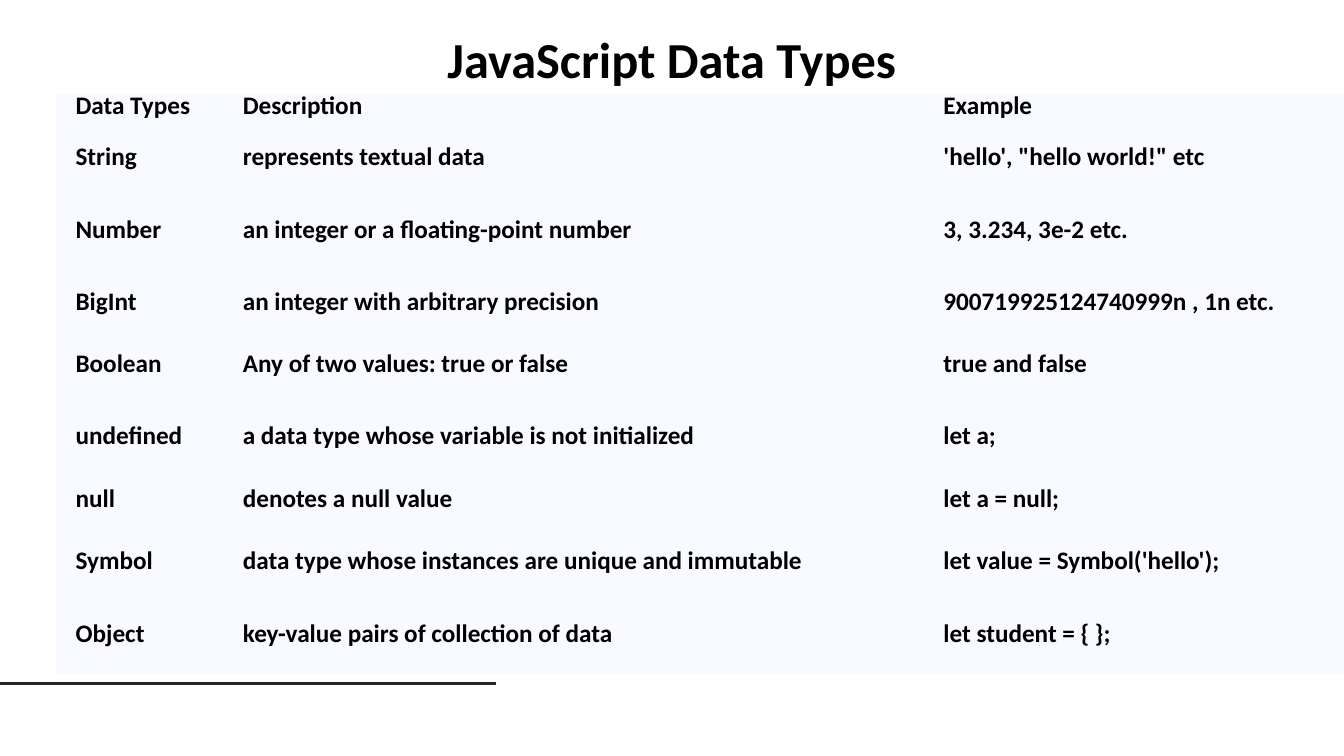
from pptx import Presentation
from pptx.util import Pt
from pptx.dml.color import RGBColor as RGB
from pptx.enum.shapes import MSO_CONNECTOR as LINE
from pptx.enum.text import MSO_ANCHOR as ANCHOR, MSO_AUTO_SIZE as FIT, PP_ALIGN as ALIGN
from pptx.oxml.ns import qn
from lxml import etree

HUES = {"text": "000000", "cell": "F8FAFF", "rule": "262626"}
NO_GRID = "{2D5ABB26-0587-4C30-8999-92F81FD0307C}"
COLS = [119.5, 500.4, 300.2]
LOW, MID, HIGH = 29.5, 44, 59.8
ROWS = [
    (LOW, "Data Types", "Description", "Example"),
    (MID, "String", "represents textual data", "'hello', \"hello world!\" etc"),
    (HIGH, "Number", "an integer or a floating-point number", "3, 3.234, 3e-2 etc."),
    (MID, "BigInt", "an integer with arbitrary precision", "900719925124740999n , 1n etc."),
    (MID, "Boolean", "Any of two values: true or false", "true and false"),
    (HIGH, "undefined", "a data type whose variable is not initialized", "let a;"),
    (LOW, "null", "denotes a null value", "let a = null;"),
    (HIGH, "Symbol", "data type whose instances are unique and immutable",
     "let value = Symbol('hello');"),
    (MID, "Object", "key-value pairs of collection of data", "let student = { };"),
]


def style(par, size):
    font = par.runs[0].font
    font.name, font.size, font.bold = "Calibri", Pt(size), True
    font.color.rgb = RGB.from_string(HUES["text"])


deck = Presentation()
deck.slide_width, deck.slide_height = Pt(960), Pt(540)
slide = deck.slides.add_slide(deck.slide_layouts[6])

# Rule at the foot
rule = slide.shapes.add_connector(LINE.STRAIGHT, Pt(0), Pt(488.2), Pt(354.2), Pt(488.2))
rule.line.color.rgb = RGB.from_string(HUES["rule"])
rule.line.width = Pt(2)
etree.SubElement(rule._element.spPr, qn("a:effectLst"))

# Title
title = slide.shapes.add_textbox(Pt(301.7), Pt(16.6), Pt(356.4), Pt(51))
frame = title.text_frame
frame.word_wrap = False
frame.auto_size = FIT.SHAPE_TO_FIT_TEXT
frame.text = "JavaScript Data Types"
frame.paragraphs[0].alignment = ALIGN.CENTER
style(frame.paragraphs[0], 36)

# Table without grid or banding
tall = sum(row[0] for row in ROWS)
table = slide.shapes.add_table(len(ROWS), len(COLS), Pt(40.3), Pt(67),
                               Pt(sum(COLS)), Pt(tall)).table
table.first_row = table.horz_banding = False
table._tbl.tblPr.find(qn("a:tableStyleId")).text = NO_GRID
for col, width in zip(table.columns, COLS):
    col.width = Pt(width)

# Cells
for row, (height, *words) in zip(table.rows, ROWS):
    row.height = Pt(height)
    for cell, word in zip(row.cells, words):
        cell.fill.solid()
        cell.fill.fore_color.rgb = RGB.from_string(HUES["cell"])
        cell.vertical_anchor = ANCHOR.MIDDLE
        cell.margin_left = cell.margin_right = Pt(13.7)
        cell.margin_top = cell.margin_bottom = Pt(7.2)
        cell.text_frame.text = word
        par = cell.text_frame.paragraphs[0]
        par.line_spacing = Pt(9)
        style(par, 18)

deck.save("out.pptx")
